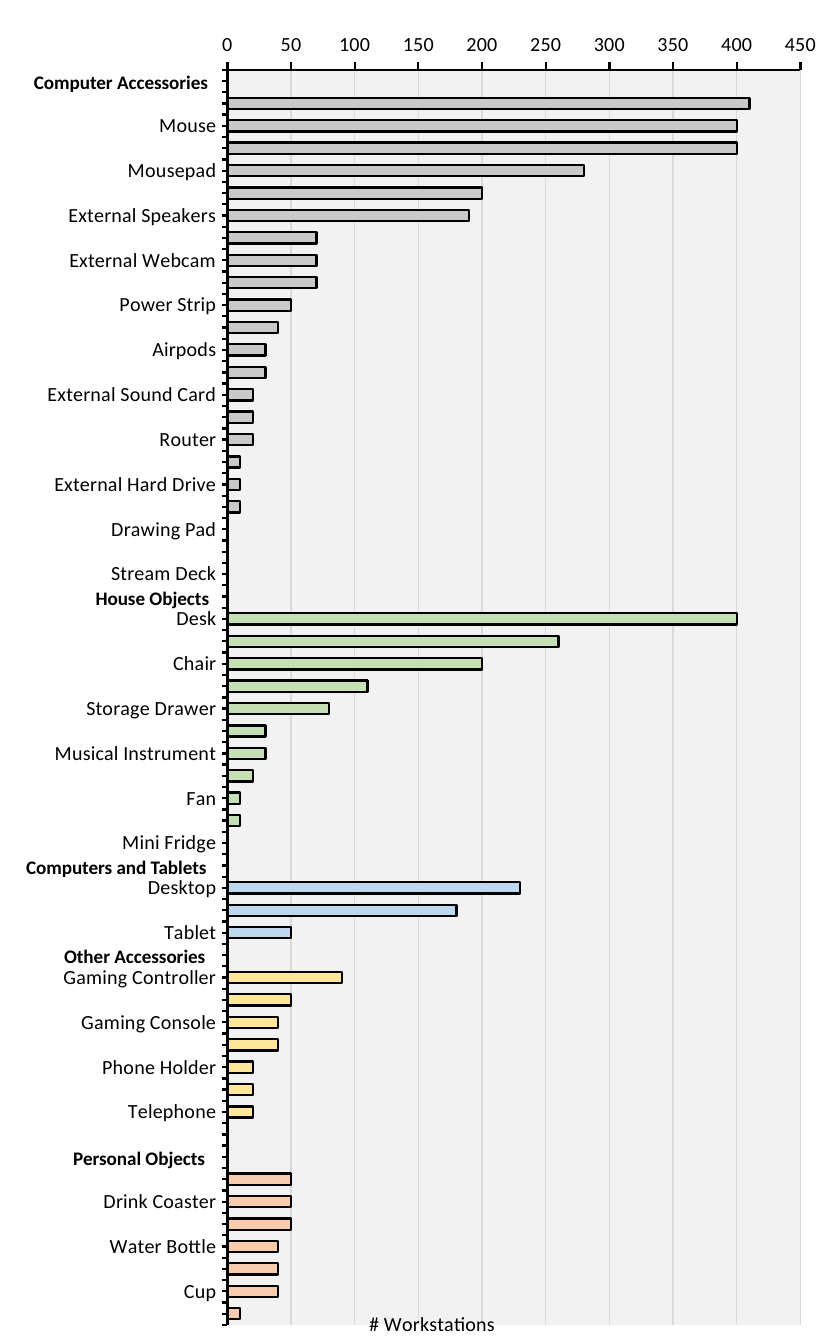
from lxml import etree
from pptx import Presentation
from pptx.chart.data import CategoryChartData
from pptx.dml.color import RGBColor
from pptx.enum.chart import XL_CHART_TYPE, XL_TICK_LABEL_POSITION, XL_TICK_MARK
from pptx.enum.text import MSO_AUTO_SIZE, PP_ALIGN
from pptx.oxml.ns import qn
from pptx.util import Inches, Pt

BAR = XL_CHART_TYPE.BAR_CLUSTERED
OUTSIDE, NO_TICK = XL_TICK_MARK.OUTSIDE, XL_TICK_MARK.NONE
NEXT_TO_AXIS = XL_TICK_LABEL_POSITION.NEXT_TO_AXIS
GROW, LEFT = MSO_AUTO_SIZE.SHAPE_TO_FIT_TEXT, PP_ALIGN.LEFT

WIDTH, HEIGHT = 6.3, 10.24
PLOT_LEFT, PLOT_TOP, PLOT_WIDTH, PLOT_HEIGHT = 0.275, 0.052, 0.693, 0.934
HEADING_HEIGHT, HEADING_DROP = 0.28, 0.01

# heading, left edge, width, bar colour, workstations per object
GROUPS = [
    ("Computer Accessories", 0.16, 1.55, "C9C9C9", {
        "Monitor": 410, "Mouse": 400, "Keyboard": 400, "Mousepad": 280,
        "Headphones": 200, "External Speakers": 190, "Monitor Arm": 70,
        "External Webcam": 70, "External Microphone": 70, "Power Strip": 50,
        "Laptop Stand": 40, "Airpods": 30, "USB Hub": 30,
        "External Sound Card": 20, "Printer": 20, "Router": 20,
        "Earphones": 10, "External Hard Drive": 10, "External Numpad": 10,
        "Drawing Pad": 0, "Back-UPS": 0, "Stream Deck": 0}),
    ("House Objects", 0.63, 1.08, "C5E0B4", {
        "Desk": 400, "Decoration": 260, "Chair": 200, "Lamp": 110,
        "Storage Drawer": 80, "Trash Can": 30, "Musical Instrument": 30,
        "Footrest": 20, "Fan": 10, "Acoustic Foam": 10, "Mini Fridge": 0}),
    ("Computers and Tablets", 0.1, 1.61, "BDD7EE", {
        "Desktop": 230, "Laptop": 180, "Tablet": 50}),
    ("Other Accessories", 0.39, 1.3, "FFE699", {
        "Gaming Controller": 90, "Cellphone Charger": 50,
        "Gaming Console": 40, "Cellphone": 40, "Phone Holder": 20,
        "IoT Devices": 20, "Telephone": 20, "Scientific Calculator": 0}),
    ("Personal Objects", 0.46, 1.23, "F8CBAD", {
        "Notebook": 50, "Drink Coaster": 50, "Mug": 50, "Water Bottle": 40,
        "Book": 40, "Cup": 40, "Post-it Note": 10}),
]


def rgb(hex_colour):
    """Turn a hex string into a colour."""
    return RGBColor.from_string(hex_colour)


def style_font(font, size=11, bold=False, colour="000000", face="Calibri"):
    """Set the face, size, weight and colour of a font."""
    font.name, font.size, font.bold = face, Pt(size), bold
    font.color.rgb = rgb(colour)


def style_line(line, colour="000000", width=1.25):
    """Set the colour and width of a line."""
    line.color.rgb = rgb(colour)
    line.width = Pt(width)


def style_fill(fill, colour):
    """Make a fill solid."""
    fill.solid()
    fill.fore_color.rgb = rgb(colour)


def place(parent, position, **settings):
    """Give a chart part a manual layout, as its child at a position."""
    for old in parent.findall(qn("c:layout")):
        parent.remove(old)
    layout = etree.Element(qn("c:layout"))
    parent.insert(position, layout)
    manual = etree.SubElement(layout, qn("c:manualLayout"))
    for tag, value in settings.items():
        etree.SubElement(manual, qn(f"c:{tag}")).set("val", str(value))


class Sheet:
    """The current slide and the style of its elements."""

    def __init__(self, deck):
        """Add an empty slide to the deck."""
        self.slide = deck.slides.add_slide(deck.slide_layouts[6])
        style_fill(self.slide.background.fill, "FFFFFF")

    def heading(self, text, left, top, width):
        """Add a bold group heading."""
        box = self.slide.shapes.add_textbox(
            Inches(left), Inches(top), Inches(width), Inches(HEADING_HEIGHT))
        frame = box.text_frame
        frame.word_wrap, frame.auto_size = False, GROW
        paragraph = frame.paragraphs[0]
        paragraph.alignment = LEFT
        run = paragraph.add_run()
        run.text = text
        style_font(run.font, size=10.5, bold=True)

    def bar_chart(self, rows, axis_title):
        """Add a bar chart from rows of label, value and colour."""
        data = CategoryChartData()
        data.categories = [label for label, _, _ in rows]
        data.add_series("Series 1", [value for _, value, _ in rows])
        chart = self.slide.shapes.add_chart(
            BAR, 0, 0, Inches(WIDTH), Inches(HEIGHT), data).chart
        chart.has_legend = chart.has_title = False
        style_font(chart.font)
        self.bars(chart.plots[0], [colour for _, _, colour in rows])
        self.axes(chart, axis_title)
        self.plot_area(chart)

    def bars(self, plot, colours):
        """Space the bars and colour them by group."""
        plot.gap_width, plot.overlap = 100, 5
        plot.vary_by_categories = False
        series = plot.series[0]
        series.invert_if_negative = False
        style_fill(series.format.fill, colours[0])
        style_line(series.format.line)
        for index, colour in enumerate(colours):
            if colour != colours[0]:
                point = series.points[index].format
                style_fill(point.fill, colour)
                style_line(point.line)

    def axes(self, chart, title):
        """Format both axes, the gridlines and the value title."""
        objects, workstations = chart.category_axis, chart.value_axis
        for axis in (objects, workstations):
            style_font(axis.tick_labels.font)
            style_line(axis.format.line)
            axis.tick_label_position = NEXT_TO_AXIS
        objects.reverse_order = True
        objects.has_major_gridlines = False
        objects.major_tick_mark, objects.minor_tick_mark = NO_TICK, OUTSIDE
        workstations.minimum_scale, workstations.maximum_scale = 0, 450
        workstations.major_unit = 50
        workstations.major_tick_mark = OUTSIDE
        workstations.minor_tick_mark = NO_TICK
        workstations.has_major_gridlines = True
        style_line(workstations.major_gridlines.format.line, "D9D9D9", 0.75)
        caption = workstations.axis_title
        run = caption.text_frame.paragraphs[0].add_run()
        run.text = title
        style_font(run.font)
        place(caption._element, 1, xMode="edge", yMode="edge", x=0.442, y=0.972)

    def plot_area(self, chart):
        """Place the plot area and shade it."""
        area = chart._chartSpace.chart.plotArea
        place(area, 0, layoutTarget="inner", xMode="edge", yMode="edge",
              x=PLOT_LEFT, y=PLOT_TOP, w=PLOT_WIDTH, h=PLOT_HEIGHT)
        shading = etree.SubElement(area, qn("c:spPr"))
        fill = etree.SubElement(shading, qn("a:solidFill"))
        etree.SubElement(fill, qn("a:srgbClr")).set("val", "F2F2F2")


def main():
    """Build the slide and save it."""
    deck = Presentation()
    deck.slide_width, deck.slide_height = Inches(WIDTH), Inches(HEIGHT)
    sheet = Sheet(deck)

    rows, heading_rows = [], []
    for _, _, _, colour, counts in GROUPS:
        heading_rows.append(len(rows))
        rows.append(("", 0, GROUPS[0][3]))
        rows += [(label, count, colour) for label, count in counts.items()]
    sheet.bar_chart(rows, "# Workstations")

    row_height = HEIGHT * PLOT_HEIGHT / len(rows)
    for (heading, left, width, _, _), row in zip(GROUPS, heading_rows):
        middle = HEIGHT * PLOT_TOP + row_height * (row + 0.5) + HEADING_DROP
        sheet.heading(heading, left, middle - HEADING_HEIGHT / 2, width)
    deck.save("out.pptx")


main()
